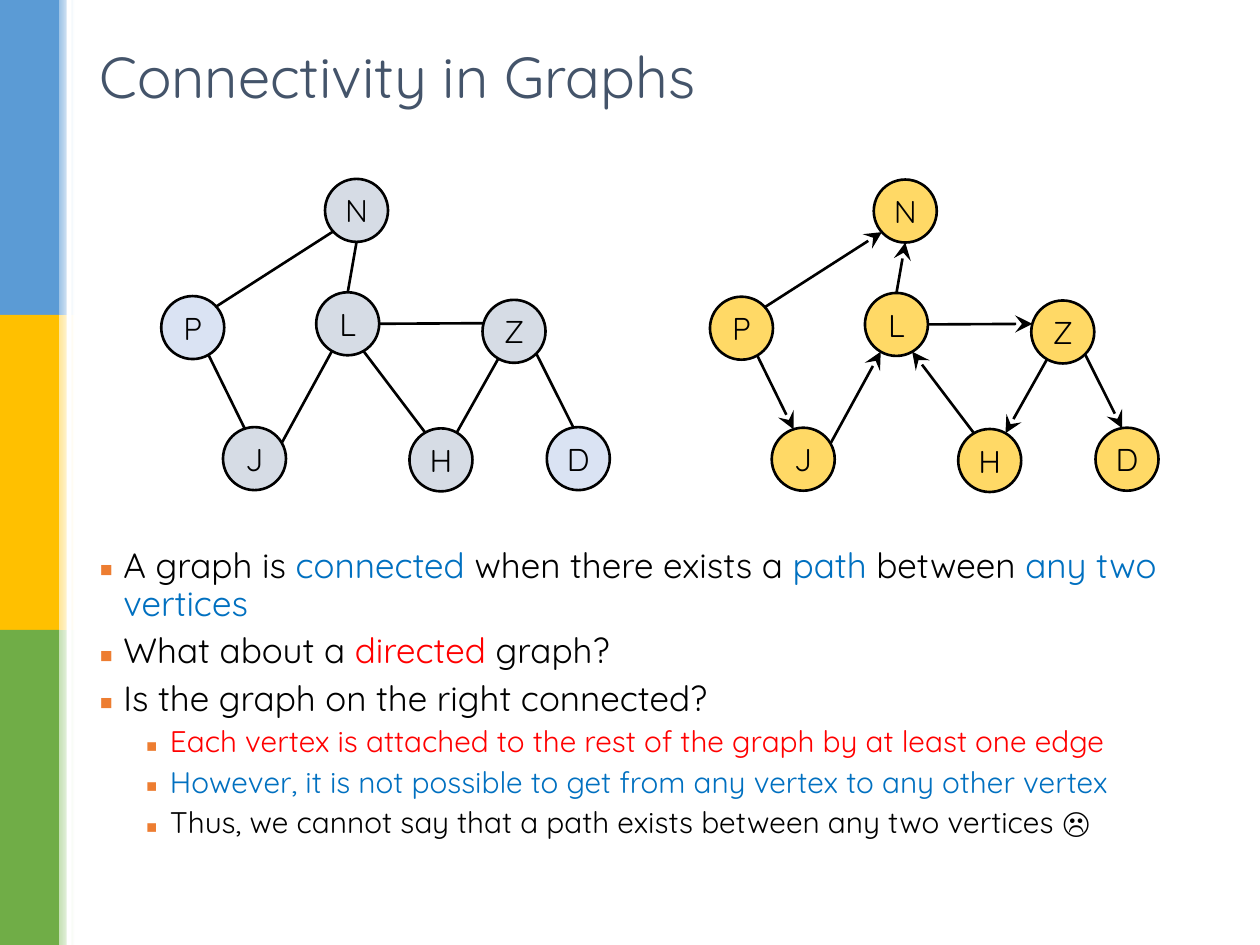
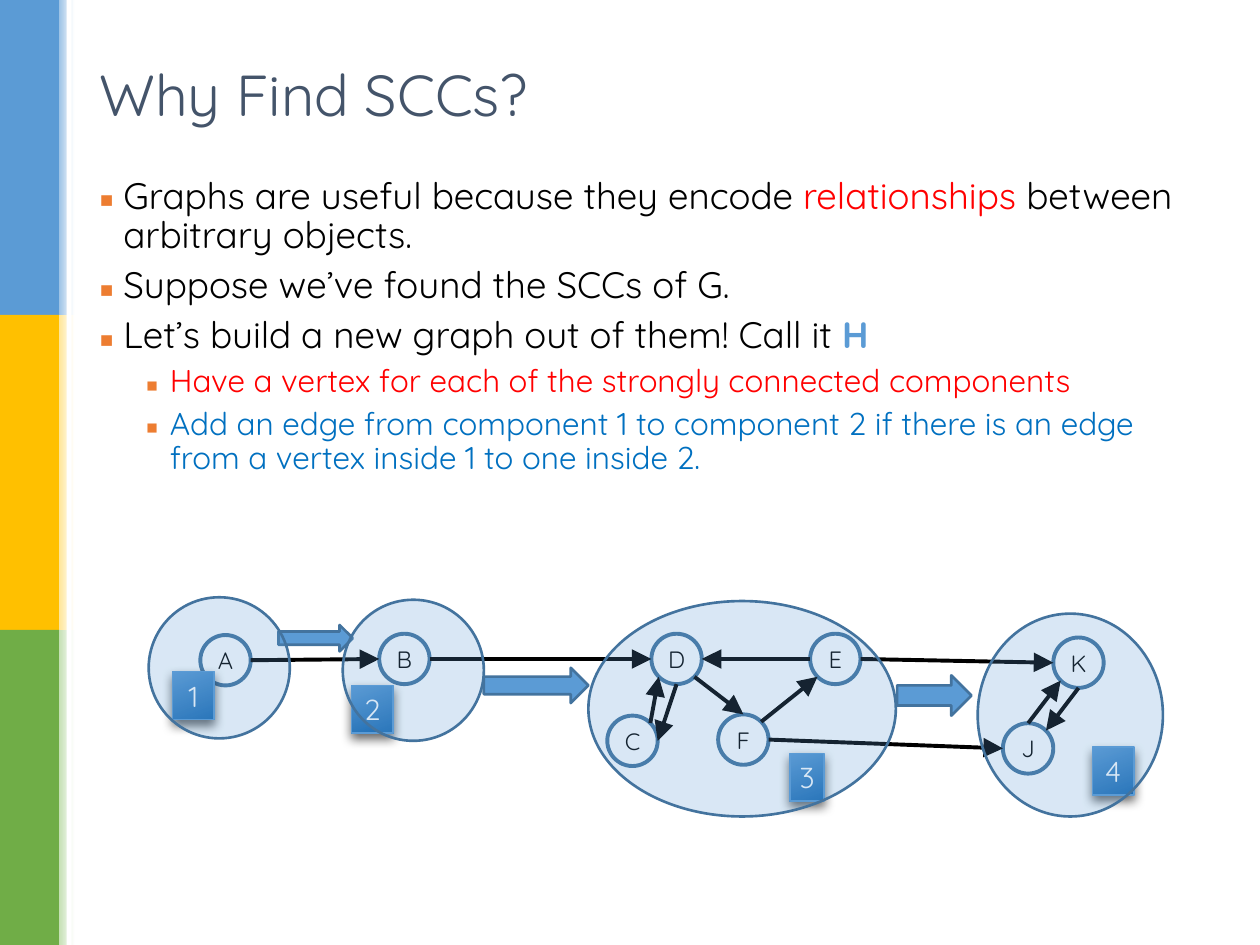
import math

import pptx
import pptx.dml.color
import pptx.enum.shapes
import pptx.enum.text
import pptx.oxml
import pptx.oxml.ns
import pptx.util
from lxml import etree

SHAPE = pptx.enum.shapes.MSO_SHAPE
ALIGN = pptx.enum.text.PP_ALIGN
ANCHOR = pptx.enum.text.MSO_ANCHOR
FONT = "Quicksand"

# The slide is a grid of 10 columns by 7.5 rows
WIDTH, HEIGHT = pptx.util.Inches(10), pptx.util.Inches(7.5)
COLUMN, ROW = WIDTH / 10, HEIGHT / 7.5

COLORS = {
    "black": "000000", "white": "FFFFFF", "title": "44546A", "bullet": "ED7D31",
    "red": "FF0000", "blue": "0070C0", "sky": "5B9BD5", "deep": "1D6CB3",
    "outline": "43739E", "gold": "FFD966", "gray": "D6DCE5", "pale": "DAE3F3",
}
BANDS = [("5B9BD5", "9DC3E6"), ("FFC000", "FFE699"), ("70AD47", "C5E0B4")]


def rgb(color):
    return pptx.dml.color.RGBColor.from_string(COLORS.get(color, color))


def place(left, top, width, height):
    return [round(n) for n in (left * COLUMN, top * ROW, width * COLUMN, height * ROW)]


def add_xml(parent, tag, **attributes):
    child = etree.SubElement(parent, pptx.oxml.ns.qn(tag))
    for name, value in attributes.items():
        child.set(name, str(value))
    return child


def add_bullet(paragraph, level):
    properties = paragraph._p.get_or_add_pPr()
    hanging = 0.19
    properties.set("marL", str(round((hanging + 0.37 * level) * COLUMN)))
    properties.set("indent", str(round(-hanging * COLUMN)))
    add_xml(add_xml(properties, "a:buClr"), "a:srgbClr", val=COLORS["bullet"])
    add_xml(properties, "a:buFont", typeface="Noto Sans Symbols")
    add_xml(properties, "a:buChar", char="▪")


def write(frame, paragraphs, sizes=(18,), color="black", align=ALIGN.LEFT,
          anchor=ANCHOR.TOP, bullets=False, wrap=True, insets=(0.1, 0.05)):
    """Each paragraph is (level, run, ...); a run is a text or (text, color, bold)."""
    frame.word_wrap = wrap
    frame.vertical_anchor = anchor
    frame.margin_left = frame.margin_right = round(insets[0] * COLUMN)
    frame.margin_top = frame.margin_bottom = round(insets[1] * ROW)
    for index, (level, *runs) in enumerate(paragraphs):
        paragraph = frame.add_paragraph() if index else frame.paragraphs[0]
        paragraph.alignment = align
        if bullets:
            paragraph.level = level
            add_bullet(paragraph, level)
            paragraph.line_spacing = 0.9
            if index:
                paragraph.space_before = pptx.util.Pt(round(sizes[level] * 0.28, 1))
        for run_format in runs:
            if isinstance(run_format, str):
                run_format = (run_format, color, False)
            text, run_color, bold = run_format
            run = paragraph.add_run()
            run.text = text
            run.font.name = FONT
            run.font.size = pptx.util.Pt(sizes[level])
            run.font.bold = bold
            run.font.color.rgb = rgb(run_color)


def add_text(slide, area, paragraphs, **text_format):
    write(slide.shapes.add_textbox(*place(*area)).text_frame, paragraphs, **text_format)


def fill_gradient(shape, start, end, angle=0):
    shape.fill.gradient()
    shape.fill.gradient_angle = angle
    for stop, color, position in zip(shape.fill.gradient_stops, (start, end), (0, 1)):
        stop.color.rgb = rgb(color)
        stop.position = position


def add_figure(slide, kind, area, fill=None, line=None, line_width=1.5, alpha=None):
    figure = slide.shapes.add_shape(kind, *place(*area))
    figure.shadow.inherit = False
    if fill:
        figure.fill.solid()
        figure.fill.fore_color.rgb = rgb(fill)
    if alpha:
        color = figure.fill._xPr.find(".//" + pptx.oxml.ns.qn("a:srgbClr"))
        add_xml(color, "a:alpha", val=alpha * 1000)
    if line:
        figure.line.color.rgb = rgb(line)
        figure.line.width = pptx.util.Pt(line_width)
    else:
        figure.line.fill.background()
    return figure


def add_vertex(slide, letter, center, radius, fill, line, line_width, size):
    area = (center[0] - radius, center[1] - radius, 2 * radius, 2 * radius)
    vertex = add_figure(slide, SHAPE.OVAL, area, fill, line, line_width)
    write(vertex.text_frame, [(0, letter)], sizes=(size,), align=ALIGN.CENTER,
          anchor=ANCHOR.MIDDLE, wrap=False, insets=(0, 0))


def rim_point(center, radius, hour):
    """Point of a vertex's rim, named by its hour on a clock face."""
    angle = math.radians(30 * hour)
    return (round((center[0] + radius * math.sin(angle)) * COLUMN),
            round((center[1] - radius * math.cos(angle)) * ROW))


def add_edge(slide, start, end, line_width, head=None):
    edge = slide.shapes.add_connector(
        pptx.enum.shapes.MSO_CONNECTOR.STRAIGHT, *start, *end)
    edge.line.color.rgb = rgb("black")
    edge.line.width = pptx.util.Pt(line_width)
    if head:
        add_xml(edge.line._get_or_add_ln(), "a:tailEnd", type=head, w="lg", len="lg")
    add_xml(edge._element.spPr, "a:effectLst")


def add_graph(slide, vertices, edges, radius, fills, line, line_width, size,
              head=None, shift=(0, 0)):
    centers = {letter: (x + shift[0], y + shift[1]) for letter, (x, y) in vertices.items()}
    for letter, center in centers.items():
        fill = fills.get(letter, fills["other"])
        add_vertex(slide, letter, center, radius, fill, line, line_width, size)
    for source, leave_hour, target, reach_hour in edges:
        add_edge(slide, rim_point(centers[source], radius, leave_hour),
                 rim_point(centers[target], radius, reach_hour), line_width, head)


def add_badge(slide, number, area):
    badge = add_figure(slide, SHAPE.RECTANGLE, area, line="sky", line_width=1)
    fill_gradient(badge, "sky", "deep", angle=291)
    effects = badge._element.spPr.find(pptx.oxml.ns.qn("a:effectLst"))
    shadow = add_xml(effects, "a:outerShdw", blurRad=pptx.util.Pt(6),
                     dist=pptx.util.Pt(3), dir=90 * 60000, rotWithShape=0)
    add_xml(add_xml(shadow, "a:srgbClr", val=COLORS["black"]), "a:alpha", val=60000)
    write(badge.text_frame, [(0, number)], sizes=(16.5,), color="white",
          align=ALIGN.CENTER, anchor=ANCHOR.MIDDLE, wrap=False, insets=(0, 0))


def add_slide(deck, title, title_top):
    slide = deck.slides.add_slide(deck.slide_layouts[6])
    # Side bands with their fading edge
    for index, (strong, light) in enumerate(BANDS):
        top = 2.5 * index
        add_figure(slide, SHAPE.RECTANGLE, (0, top, 0.47, 2.5), strong)
        fading_edge = add_figure(slide, SHAPE.RECTANGLE, (0.47, top, 0.12, 2.5))
        fill_gradient(fading_edge, light, "white")
    add_figure(slide, SHAPE.RECTANGLE, (0.53, 0, 0.04, 7.5), "white")
    add_text(slide, (0.69, title_top, 8.62, 0.68), [(0, title)], sizes=(33,),
             color="title", anchor=ANCHOR.MIDDLE)
    return slide


def build_connectivity(deck):
    slide = add_slide(deck, "Connectivity in Graphs", 0.26)

    # The same graph, undirected and directed
    vertices = {"P": (1.53, 2.6), "J": (2.02, 3.64), "N": (2.83, 1.67), "Z": (4.08, 2.63),
                "H": (3.5, 3.65), "D": (4.59, 3.64), "L": (2.76, 2.57)}
    edges = [("P", 1.6, "N", 7.6), ("L", 0, "N", 6), ("L", 3, "Z", 9.5),
             ("Z", 7, "H", 1), ("P", 5, "J", 11.4), ("Z", 4.5, "D", 11.7),
             ("J", 2, "L", 7), ("H", 11, "L", 5)]
    look = {"radius": 0.25, "line": "black", "line_width": 1.5, "size": 18}
    add_graph(slide, vertices, edges, **look,
              fills={"P": "pale", "D": "pale", "other": "gray"})
    add_graph(slide, vertices, edges, **look, fills={"other": "gold"},
              head="stealth", shift=(4.355, 0.005))

    add_text(slide, (0.69, 4.3, 8.92, 2.6), [
        (0, "A graph is ", ("connected ", "blue", False), "when there exists a ",
         ("path", "blue", False), " between ", ("any two vertices", "blue", False)),
        (0, "What about a ", ("directed", "red", False), " graph?"),
        (0, "Is the graph on the right connected?"),
        (1, ("Each vertex is attached to the rest of the graph by at least one edge",
             "red", False)),
        (1, ("However, it is not possible to get from any vertex to any other vertex",
             "blue", False)),
        (1, "Thus, we cannot say that a path exists between any two vertices ☹"),
    ], sizes=(20, 17), bullets=True)


def build_components(deck):
    slide = add_slide(deck, "Why Find SCCs?", 0.4)
    add_text(slide, (0.69, 1.36, 8.96, 2.91), [
        (0, "Graphs are useful because they encode ", ("relationships", "red", False),
         " between arbitrary objects."),
        (0, "Suppose we’ve found the SCCs of G."),
        (0, "Let’s build a new graph out of them! Call it ", ("H", "sky", True)),
        (1, ("Have a vertex for each of the strongly connected components", "red", False)),
        (1, ("Add an edge from component 1 to component 2 if there is an edge "
             "from a vertex inside 1 to one inside 2.", "blue", False)),
    ], sizes=(21, 18), bullets=True)

    # Directed graph G
    vertices = {"A": (1.79, 5.24), "B": (3.21, 5.23), "C": (5.02, 5.88), "D": (5.37, 5.23),
                "E": (6.63, 5.23), "F": (5.9, 5.87), "J": (8.16, 5.94), "K": (8.56, 5.26)}
    edges = [("A", 3, "B", 9), ("B", 3, "D", 9), ("C", 1.5, "D", 7.5), ("D", 6, "C", 3),
             ("D", 4.5, "F", 0), ("F", 1.5, "E", 7.5), ("E", 9, "D", 3), ("E", 3, "K", 9),
             ("F", 3, "J", 9), ("K", 6, "J", 1.5), ("J", 0, "K", 7.5)]
    add_graph(slide, vertices, edges, radius=0.2, fills={"other": "white"},
              line="outline", line_width=2.25, size=13.5, head="triangle")

    # Edges of the new graph H
    for area in [(2.21, 4.96, 0.59, 0.21), (3.84, 5.3, 0.83, 0.28), (7.12, 5.36, 0.59, 0.32)]:
        add_figure(slide, SHAPE.RIGHT_ARROW, area, "sky", "outline")

    # Numbered components, veiled by their outlines
    badges = {"1": (1.37, 5.33, 0.33, 0.38), "2": (2.79, 5.44, 0.33, 0.38),
              "3": (6.27, 5.98, 0.27, 0.38), "4": (8.67, 5.93, 0.33, 0.38)}
    for number, area in badges.items():
        add_badge(slide, number, area)
    for area in [(1.18, 4.74, 1.12, 1.12), (2.72, 4.76, 1.12, 1.12),
                 (4.67, 4.77, 2.44, 1.71), (7.76, 4.87, 1.47, 1.61)]:
        add_figure(slide, SHAPE.OVAL, area, "sky", "outline", alpha=23)


def main():
    deck = pptx.Presentation()
    deck.slide_width, deck.slide_height = WIDTH, HEIGHT
    build_connectivity(deck)
    build_components(deck)
    deck.save("out.pptx")


if __name__ == "__main__":
    main()
